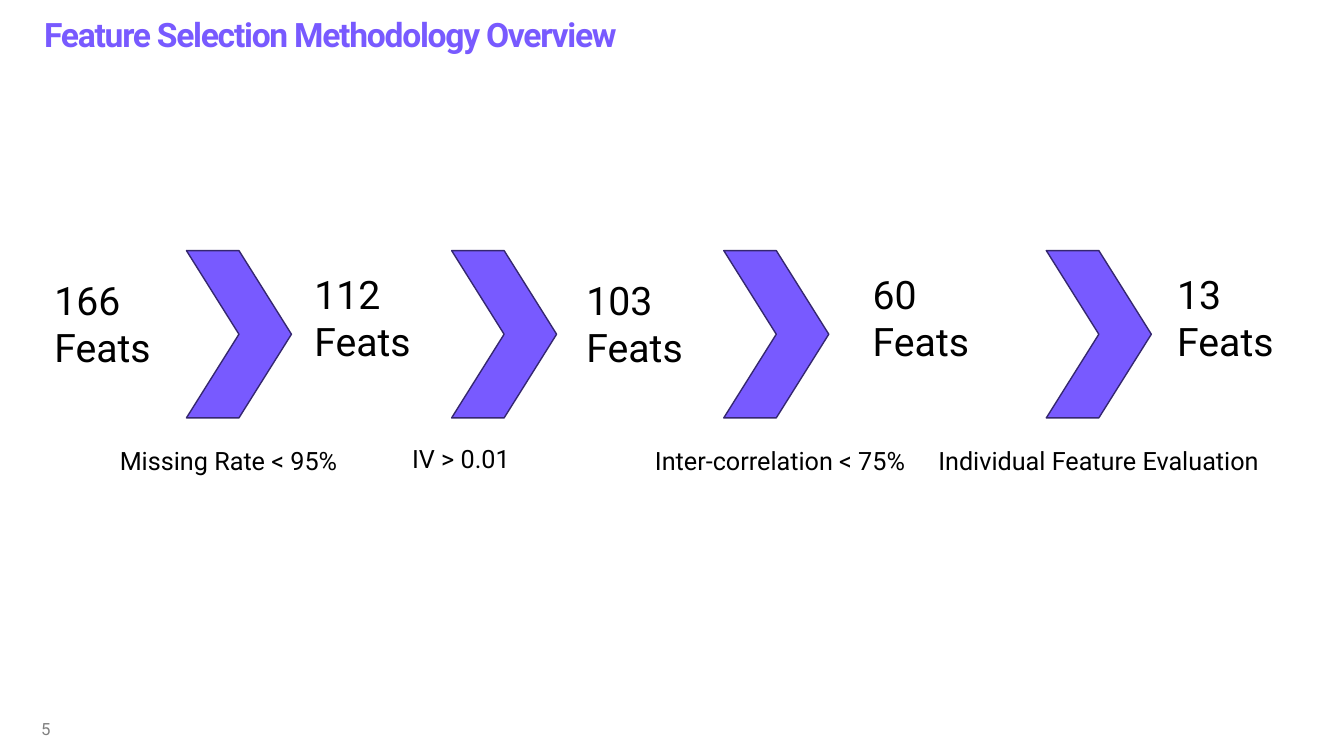
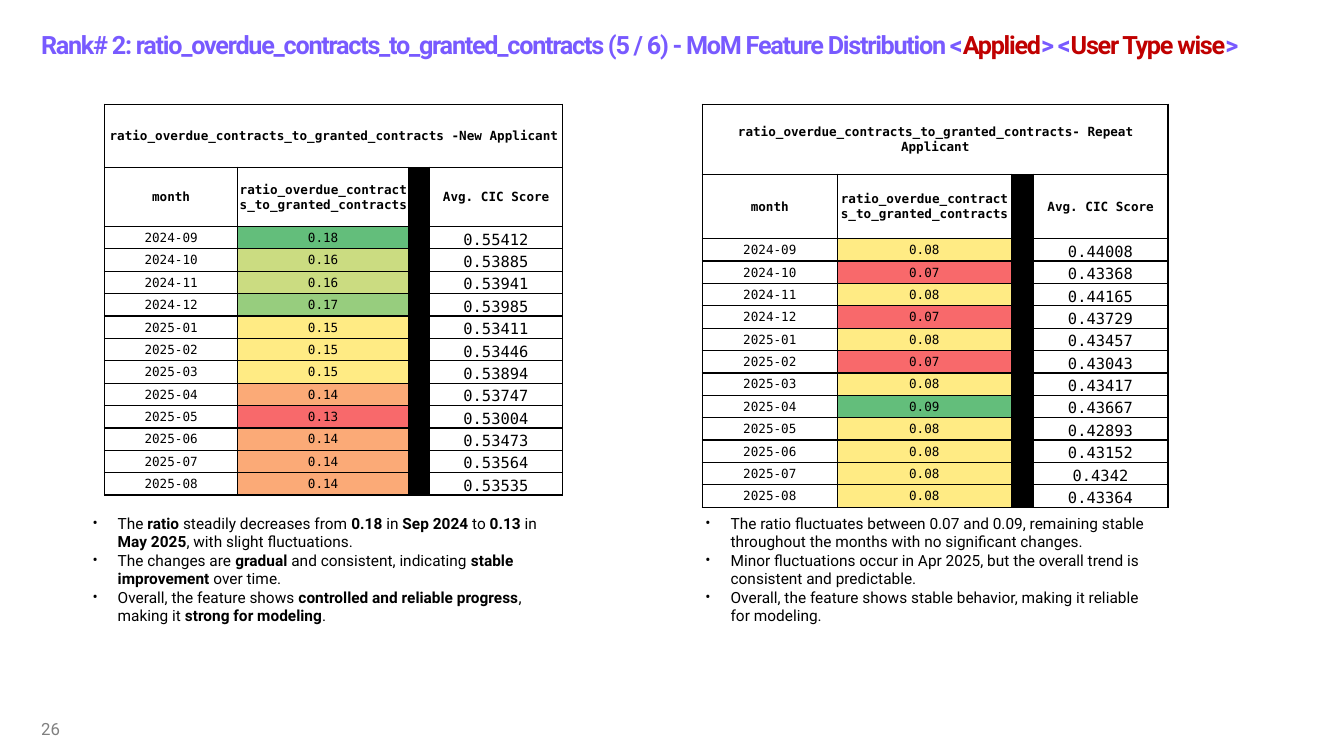
from lxml.etree import SubElement
from pptx import Presentation
from pptx.dml.color import RGBColor
from pptx.enum.shapes import MSO_SHAPE
from pptx.enum.text import MSO_ANCHOR, PP_ALIGN
from pptx.oxml.ns import qn
from pptx.util import Pt

SANS, MONO = "Roboto", "DejaVu Sans Mono"
BLACK, GREY, VIOLET, NAVY, RED = "000000", "808080", "785AFF", "352770", "C00000"
HEAT = {
    "0.07": "F8696B", "0.08": "FFEB84", "0.09": "63BE7B",
    "0.13": "F8696B", "0.14": "FBAA77", "0.15": "FFEB84",
    "0.16": "CBDC81", "0.17": "97CD7E", "0.18": "63BE7B",
}
RATIO = "ratio_overdue_contracts_to_granted_contracts"
MID, TOP, END = MSO_ANCHOR.MIDDLE, MSO_ANCHOR.TOP, MSO_ANCHOR.BOTTOM


def paint(target, color):
    """Give a fill, line or font a solid colour."""
    if hasattr(target, "solid"):
        target.solid()
        target.fore_color.rgb = RGBColor.from_string(color)
    else:
        target.color.rgb = RGBColor.from_string(color)


def style(par, size, color=BLACK, bold=False, face=SANS):
    """Set the font that all runs of a paragraph share."""
    font = par.font
    font.size, font.bold, font.name = Pt(size), bold, face
    paint(font, color)
    return font


def split(par, text, accent):
    """Add runs, passing the font of each part between asterisks to accent."""
    for num, part in enumerate(text.split("*")):
        run = par.add_run()
        run.text = part
        if num % 2:
            accent(run.font)


def embolden(font):
    """Make a font bold."""
    font.bold = True


def redden(font):
    """Make a font red."""
    paint(font, RED)


def bullet(par):
    """Give a paragraph a hanging round bullet."""
    props = par._p.get_or_add_pPr()
    props.set("marL", str(Pt(18)))
    props.set("indent", str(Pt(-18)))
    SubElement(props, qn("a:buFont"), typeface=SANS)
    SubElement(props, qn("a:buChar"), char="•")


def frame(slide, x, y, w, h, anchor=TOP):
    """Add a wrapping text box and return its text frame."""
    text = slide.shapes.add_textbox(Pt(x), Pt(y), Pt(w), Pt(h)).text_frame
    text.word_wrap = True
    text.vertical_anchor = anchor
    return text


def label(slide, text, x, y, w, h, size, align=PP_ALIGN.LEFT):
    """Add plain text with one paragraph per line."""
    box = frame(slide, x, y, w, h)
    box.text = text
    for par in box.paragraphs:
        par.alignment = align
        style(par, size)


def title(slide, text, x, y, h, size, space, anchor):
    """Add a violet title with red accents."""
    par = frame(slide, x, y, 900, h, anchor).paragraphs[0]
    par.line_spacing = space
    style(par, size, VIOLET, True)._element.set("spc", "-90")
    split(par, text, redden)


def number(slide, text):
    """Add the page number."""
    box = frame(slide, 22.3, 506.2, 216, 28.8, MID)
    box.text = text
    box.paragraphs[0].space_after = Pt(6)
    style(box.paragraphs[0], 12, GREY)


def notes(slide, lines, x):
    """Add a bullet list with bold accents."""
    box = frame(slide, x, 363.6, 337.7, 87)
    for num, line in enumerate(lines):
        par = box.add_paragraph() if num else box.paragraphs[0]
        bullet(par)
        style(par, 11)
        split(par, line, embolden)


def chevron(slide, x):
    """Add one step arrow."""
    shape = slide.shapes.add_shape(
        MSO_SHAPE.CHEVRON, Pt(x), Pt(179), Pt(75), Pt(119.5))
    shape.shadow.inherit = False
    paint(shape.fill, VIOLET)
    paint(shape.line, NAVY)
    shape.line.width = Pt(1)


def border(cell):
    """Draw thin black edges around a cell."""
    props = cell._tc.get_or_add_tcPr()
    for side in ("lnL", "lnR", "lnT", "lnB"):
        line = SubElement(props, qn(f"a:{side}"), w=str(Pt(1)))
        fill = SubElement(line, qn("a:solidFill"))
        SubElement(fill, qn("a:srgbClr"), val=BLACK)


def write(cell, text, size=9, bold=False, anchor=MID):
    """Put centred text in a cell, or keep an empty one small."""
    cell.vertical_anchor = anchor
    cell.text = text
    par = cell.text_frame.paragraphs[0]
    if text:
        par.alignment = PP_ALIGN.CENTER
        style(par, size, bold=bold, face=MONO)
    else:
        SubElement(par._p, qn("a:endParaRPr"), sz="900")


def month(step):
    """Name a month counted from September 2024."""
    year, place = divmod(8 + step, 12)
    return f"{2024 + year}-{place + 1:02}"


def table(slide, head, ratios, scores, x, cols, tops):
    """Add a monthly table with heat colours and a black divider column."""
    body = [(month(num), ratio, "", score)
            for num, (ratio, score) in enumerate(zip(ratios.split(), scores.split()))]
    rows = [(head, "", "", ""), ("month", RATIO, "", "Avg. CIC Score"), *body]
    highs = [*tops, *[16] * len(body)]
    grid = slide.shapes.add_table(
        len(rows), len(cols), Pt(x), Pt(74.5), Pt(sum(cols)), Pt(sum(highs))).table
    grid.first_row = grid.horz_banding = False
    for col, wide in zip(grid.columns, cols):
        col.width = Pt(wide)
    for r, (row, high) in enumerate(zip(rows, highs)):
        grid.rows[r].height = Pt(high)
        for c, text in enumerate(row):
            cell = grid.cell(r, c)
            cell.margin_left = cell.margin_right = cell.margin_top = Pt(0.7)
            cell.margin_bottom = Pt(0)
            border(cell)
            score = r > 1 and c == 3
            write(cell, text, 11 if score else 9, r < 2, END if score else MID)
            color = BLACK if r and c == 2 else HEAT.get(text)
            if color:
                paint(cell.fill, color)
            else:
                cell.fill.background()
    grid.cell(0, 0).merge(grid.cell(0, 3))


def method(slide):
    """Build the feature selection overview."""
    title(slide, "Feature Selection Methodology Overview", 24.5, 3.6, 66, 24, 1.1, TOP)
    for x in (133.2, 322.6, 517, 747.4):
        chevron(slide, x)
    for count, x, y in (("166", 31.7, 193.7), ("112", 217.4, 189.4),
                        ("103", 411.8, 193.7), ("60", 616.3, 189.4),
                        ("13", 833.8, 189.4)):
        label(slide, f"{count}\nFeats", x, y, 114.5, 75, 28)
    for rule, x, y, w in (("Missing Rate < 95%", 78.5, 314.6, 196),
                          ("IV > 0.01", 287.3, 313.2, 209.5),
                          ("Inter-correlation < 75%", 460.8, 314.6, 233)):
        label(slide, rule, x, y, w, 29, 18)
    label(slide, "Individual Feature Evaluation", 661.7, 314.6, 246, 51, 18,
          PP_ALIGN.CENTER)
    number(slide, "5")


def trend(slide):
    """Build the monthly distribution by user type."""
    title(slide, f"Rank# 2: {RATIO} (5 / 6) - MoM Feature Distribution "
          "<*Applied*> <*User Type wise*>", 22.3, 0, 52.6, 18, 1.5, MID)
    table(slide, f"{RATIO} -New Applicant",
          "0.18 0.16 0.16 0.17 0.15 0.15 0.15 0.14 0.13 0.14 0.14 0.14",
          "0.55412 0.53885 0.53941 0.53985 0.53411 0.53446 "
          "0.53894 0.53747 0.53004 0.53473 0.53564 0.53535",
          74.7, (95, 122.2, 15.2, 94.5), (45, 42.3))
    table(slide, f"{RATIO}- Repeat Applicant",
          "0.08 0.07 0.08 0.07 0.08 0.07 0.08 0.09 0.08 0.08 0.08 0.08",
          "0.44008 0.43368 0.44165 0.43729 0.43457 0.43043 "
          "0.43417 0.43667 0.42893 0.43152 0.4342 0.43364",
          501.6, (96.5, 124.3, 15.5, 96.5), (50, 46))
    notes(slide, (
        "The *ratio* steadily decreases from *0.18* in *Sep 2024* to *0.13* in "
        "*May 2025*, with slight fluctuations.",
        "The changes are *gradual* and consistent, indicating "
        "*stable improvement* over time.",
        "Overall, the feature shows *controlled and reliable progress*, "
        "making it *strong for modeling*."), 59)
    notes(slide, (
        "The ratio fluctuates between 0.07 and 0.09, remaining stable "
        "throughout the months with no significant changes.",
        "Minor fluctuations occur in Apr 2025, but the overall trend is "
        "consistent and predictable.",
        "Overall, the feature shows stable behavior, making it reliable "
        "for modeling."), 496.8)
    number(slide, "26")


def main():
    """Build and save the deck."""
    deck = Presentation()
    deck.slide_width, deck.slide_height = Pt(960), Pt(540)
    for build in (method, trend):
        build(deck.slides.add_slide(deck.slide_layouts[6]))
    deck.save("out.pptx")


if __name__ == "__main__":
    main()
